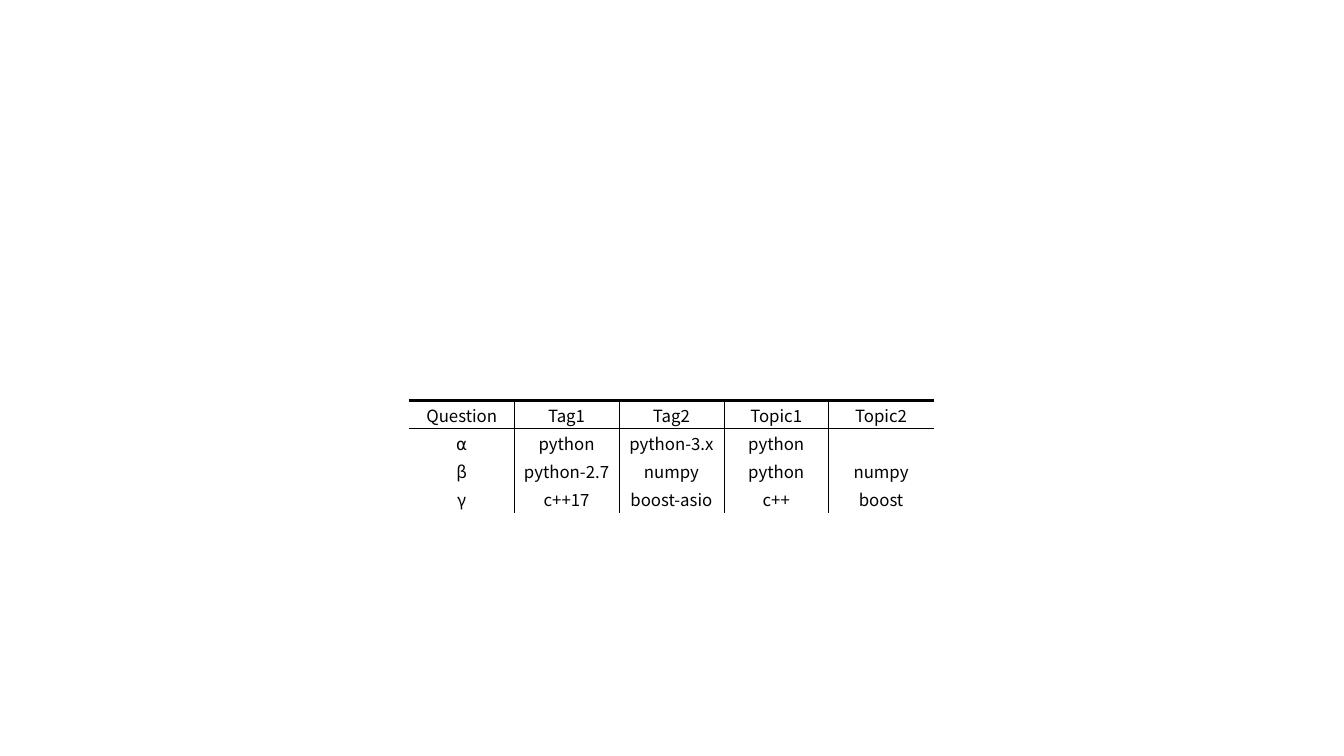
from lxml.etree import SubElement
from pptx import Presentation
from pptx.dml.color import RGBColor
from pptx.enum.text import MSO_ANCHOR as Anchor, PP_ALIGN as Align
from pptx.oxml import parse_xml
from pptx.oxml.ns import nsdecls, qn
from pptx.util import Inches, Pt


def color(value):
    return RGBColor.from_string(value)


class SlideBuilder:
    font = "Noto Sans CJK JP"
    size = 12
    ink = "000000"

    def __init__(self, slide):
        self.slide = slide

    def table(self, left, top, column_width, row_heights, rows):
        column_count = len(rows[0])
        shape = self.slide.shapes.add_table(
            len(rows), column_count, Inches(left), Inches(top),
            Inches(column_width * column_count), Inches(sum(row_heights)))
        table = shape.table
        table.first_row = table.horz_banding = False
        for column in table.columns:
            column.width = Inches(column_width)
        for row, height in zip(table.rows, row_heights):
            row.height = Inches(height)
        for row_index, texts in enumerate(rows):
            for column_index, text in enumerate(texts):
                self.cell(table.cell(row_index, column_index), text)
        return table

    def cell(self, cell, text):
        cell.fill.background()
        cell.vertical_anchor = Anchor.MIDDLE
        cell.margin_left = cell.margin_right = cell.margin_top = Inches(0.01)
        cell.margin_bottom = 0
        cell.text_frame.text = text
        paragraph = cell.text_frame.paragraphs[0]
        paragraph.alignment = Align.CENTER
        for run in paragraph.runs:
            run.font.name = self.font
            run.font.size = Pt(self.size)
            run.font.color.rgb = color(self.ink)
            east_asian = SubElement(run.font._element, qn("a:ea"))
            east_asian.set("typeface", self.font)
            run.font._element.find(qn("a:latin")).addnext(east_asian)
        if not text:
            end = SubElement(paragraph._p, qn("a:endParaRPr"))
            end.set("sz", str(self.size * 100))
            SubElement(end, qn("a:latin")).set("typeface", self.font)

    def borders(self, cell, widths):
        properties = cell._tc.get_or_add_tcPr()
        for index, side in enumerate("LRTB"):
            width = widths.get(side, 0)
            paint = (f'<a:solidFill><a:srgbClr val="{self.ink}"/></a:solidFill>'
                     if width else "<a:noFill/>")
            properties.insert(index, parse_xml(
                f'<a:ln{side} {nsdecls("a")} w="{Pt(width)}">{paint}</a:ln{side}>'))


THIN, THICK = 0.5, 2
SPACER, HEADER = 0, 1
ROWS = [
    [""] * 5,
    ["Question", "Tag1", "Tag2", "Topic1", "Topic2"],
    ["⍺", "python", "python-3.x", "python", ""],
    ["β", "python-2.7", "numpy", "python", "numpy"],
    ["γ", "c++17", "boost-asio", "c++", "boost"],
]

presentation = Presentation()
presentation.slide_width = Inches(13.33)
presentation.slide_height = Inches(7.5)
builder = SlideBuilder(presentation.slides.add_slide(presentation.slide_layouts[6]))

heights = [0.25] + [0.28] * (len(ROWS) - 1)
tag_table = builder.table(4.06, 3.72, 1.04, heights, ROWS)
rules_below = {SPACER: THICK, HEADER: THIN}
last_column = len(ROWS[0]) - 1
for row_index, texts in enumerate(ROWS):
    for column_index in range(len(texts)):
        upright = THIN if row_index >= HEADER else 0
        builder.borders(tag_table.cell(row_index, column_index), {
            "L": upright if column_index > 0 else 0,
            "R": upright if column_index < last_column else 0,
            "T": rules_below.get(row_index - 1, 0),
            "B": rules_below.get(row_index, 0),
        })

presentation.save("out.pptx")
